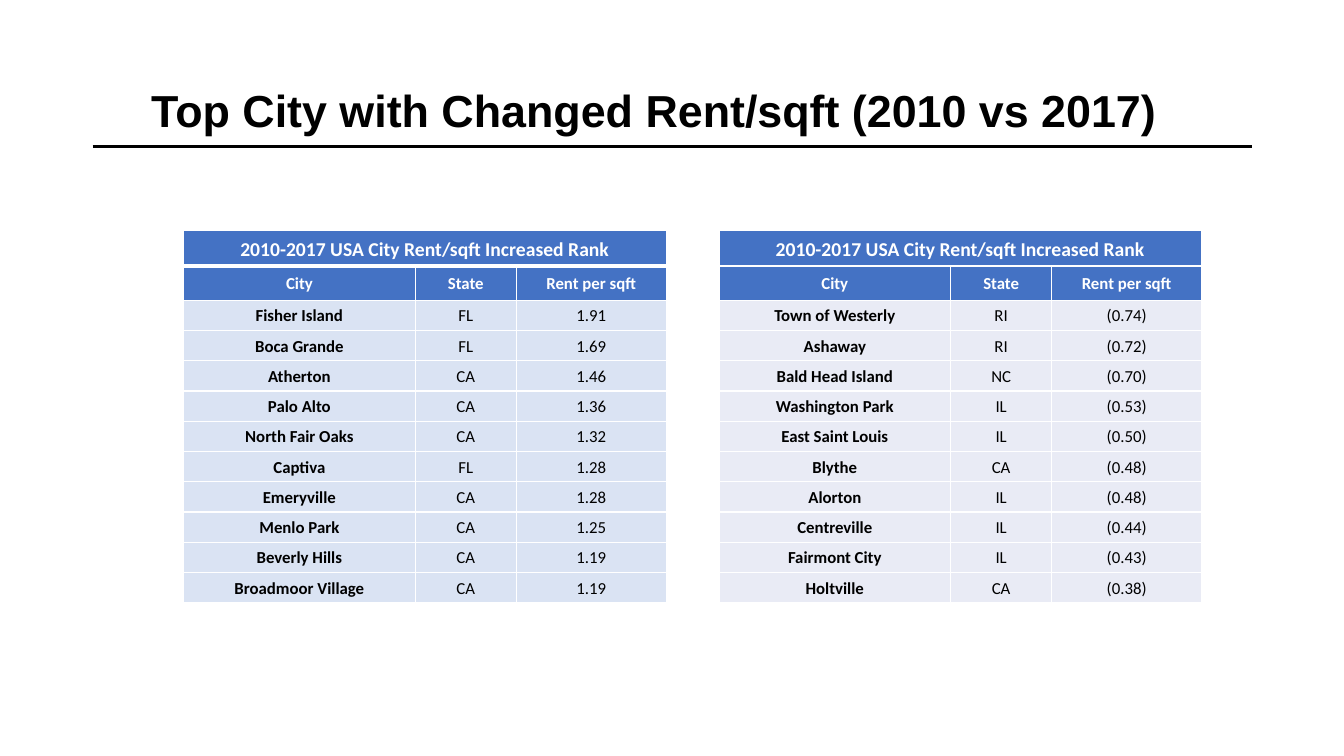
from pptx import Presentation, util as u
from pptx.dml.color import RGBColor
from pptx.enum import shapes, text
from pptx.oxml.ns import qn
from lxml import etree

WIDTH, HEIGHT = u.Inches(13.33), u.Inches(7.5)
WHITE, BLACK, BLUE = "FFFFFF", "000000", "4472C4"
COLUMN_WEIGHTS = (2.3, 1, 1.49)
ROW_WEIGHTS = (0.35, 0.34) + (0.3,) * 10
RANK_TITLE = "2010-2017 USA City Rent/sqft Increased Rank"
HEADINGS = ("City", "State", "Rent per sqft")
INCREASED = (
    ("Fisher Island", "FL", "1.91"),
    ("Boca Grande", "FL", "1.69"),
    ("Atherton", "CA", "1.46"),
    ("Palo Alto", "CA", "1.36"),
    ("North Fair Oaks", "CA", "1.32"),
    ("Captiva", "FL", "1.28"),
    ("Emeryville", "CA", "1.28"),
    ("Menlo Park", "CA", "1.25"),
    ("Beverly Hills", "CA", "1.19"),
    ("Broadmoor Village", "CA", "1.19"),
)
DECREASED = (
    ("Town of Westerly", "RI", "(0.74)"),
    ("Ashaway", "RI", "(0.72)"),
    ("Bald Head Island", "NC", "(0.70)"),
    ("Washington Park", "IL", "(0.53)"),
    ("East Saint Louis", "IL", "(0.50)"),
    ("Blythe", "CA", "(0.48)"),
    ("Alorton", "IL", "(0.48)"),
    ("Centreville", "IL", "(0.44)"),
    ("Fairmont City", "IL", "(0.43)"),
    ("Holtville", "CA", "(0.38)"),
)


def colour(hex_code):
    """Return the colour for a hex string."""
    return RGBColor.from_string(hex_code)


def share(left, top, width, height):
    """Return a box given in percent of the slide's width and height."""
    return tuple(
        int(side * percent / 100)
        for side, percent in zip((WIDTH, HEIGHT) * 2, (left, top, width, height))
    )


def write(frame, words, font_name, size, hex_code, bold, spacing):
    """Put one centred, formatted paragraph in a text frame."""
    frame.text = words
    paragraph = frame.paragraphs[0]
    paragraph.alignment = text.PP_ALIGN.CENTER
    paragraph.line_spacing = spacing
    font = paragraph.runs[0].font
    font.name, font.size, font.bold = font_name, u.Pt(size), bold
    font.color.rgb = colour(hex_code)


def add_heading(slide, box, words):
    """Place the slide title in its box."""
    heading = slide.shapes.title
    heading.left, heading.top, heading.width, heading.height = box
    heading.text_frame.word_wrap = True
    heading.text_frame.vertical_anchor = text.MSO_ANCHOR.MIDDLE
    write(heading.text_frame, words, "Arial", 32, BLACK, True, 0.9)


def add_rule(slide, box):
    """Draw a plain line along the top of the box."""
    left, top, width, _ = box
    rule = slide.shapes.add_connector(
        shapes.MSO_CONNECTOR.STRAIGHT, left, top, left + width, top)
    rule.line.color.rgb = colour(BLACK)
    rule.line.width = u.Pt(2.25)
    etree.SubElement(rule._element.spPr, qn("a:effectLst"))


def set_borders(cell, top=1, bottom=1):
    """Give a cell white borders, with widths in points."""
    properties = cell._tc.get_or_add_tcPr()
    for side, points in (("L", 1), ("R", 1), ("T", top), ("B", bottom)):
        border = etree.SubElement(
            properties, qn(f"a:ln{side}"), w=str(u.Pt(points)))
        fill = etree.SubElement(border, qn("a:solidFill"))
        etree.SubElement(fill, qn("a:srgbClr"), val=WHITE)


def add_ranking(slide, box, cities, body_fill, title_border):
    """Fill the box with a ranking of cities by changed rent."""
    rows = ((RANK_TITLE, "", ""), HEADINGS) + cities
    ranking = slide.shapes.add_table(len(rows), len(HEADINGS), *box).table
    ranking.horz_banding = False
    for column, weight in zip(ranking.columns, COLUMN_WEIGHTS):
        column.width = int(box[2] * weight / sum(COLUMN_WEIGHTS))
    for row, weight in zip(ranking.rows, ROW_WEIGHTS):
        row.height = int(box[3] * weight / sum(ROW_WEIGHTS))
    ranking.cell(0, 0).merge(ranking.cell(0, len(HEADINGS) - 1))

    for row, entries in enumerate(rows):
        is_header = row < 2
        for column, words in enumerate(entries):
            cell = ranking.cell(row, column)
            set_borders(cell,
                        top=title_border if row == 1 else 1,
                        bottom=title_border if row == 0 else 1)
            cell.fill.solid()
            cell.fill.fore_color.rgb = colour(BLUE if is_header else body_fill)
            cell.vertical_anchor = text.MSO_ANCHOR.MIDDLE
            cell.margin_left = cell.margin_right = u.Inches(0.03)
            cell.margin_top = cell.margin_bottom = u.Inches(0.03)
            if words:
                write(cell.text_frame, words, "Calibri", 14 if row == 0 else 12,
                      WHITE if is_header else BLACK,
                      is_header or column == 0, 1.07)


def add_rent_slide(deck):
    """Build the slide comparing rent changes by city."""
    slide = deck.slides.add_slide(deck.slide_layouts.get_by_name("Title Only"))
    add_rule(slide, share(6.9, 19.33, 86.27, 0))
    add_heading(slide, share(4.28, 5.33, 88.82, 19.33),
                "Top City with Changed Rent/sqft (2010 vs 2017)")
    add_ranking(slide, share(13.65, 30.53, 35.93, 49.2), INCREASED, "DAE3F3", 3)
    add_ranking(slide, share(53.49, 30.53, 35.93, 49.2), DECREASED, "E9EBF5", 1)


deck = Presentation()
deck.slide_width, deck.slide_height = WIDTH, HEIGHT
add_rent_slide(deck)
deck.save("out.pptx")
